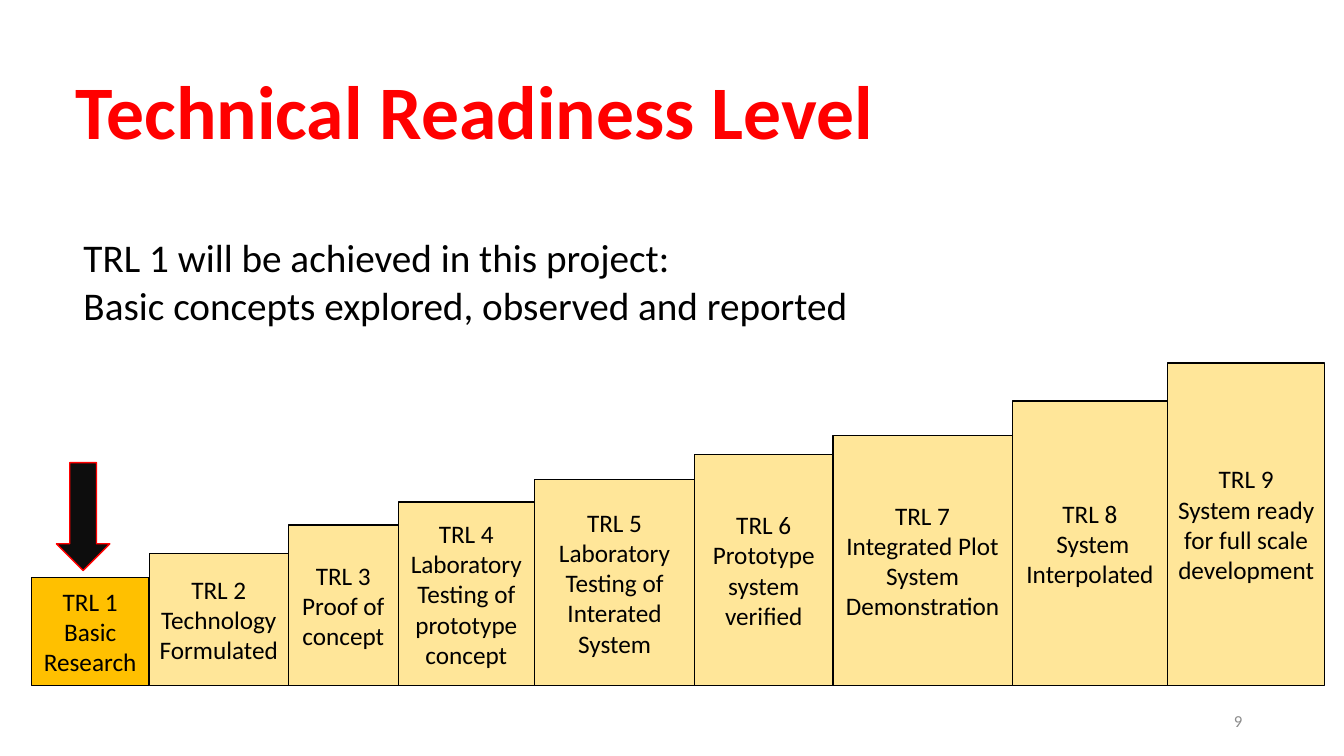
from itertools import accumulate
from dataclasses import dataclass
from pptx import Presentation
from pptx.dml.color import RGBColor
from pptx.enum.shapes import MSO_SHAPE
from pptx.enum.text import MSO_ANCHOR, MSO_AUTO_SIZE, PP_ALIGN
from pptx.util import Inches, Pt

WIDE, HIGH = 13.33, 7.5
TITLE = "Technical Readiness Level"
CLAIM = [
    "TRL 1 will be achieved in this project:",
    "Basic concepts explored, observed and reported",
]
PAGE = "9"
# Label, column width, step height
STEPS = [
    ("Basic Research", 1.17, 1.07),
    ("Technology Formulated", 1.38, 1.31),
    ("Proof of concept", 1.09, 1.59),
    ("Laboratory Testing of prototype concept", 1.35, 1.82),
    ("Laboratory Testing of Interated System", 1.59, 2.04),
    ("Prototype system verified", 1.37, 2.29),
    ("Integrated Plot System Demonstration", 1.78, 2.48),
    (" System Interpolated", 1.54, 2.82),
    ("System ready for full scale development", 1.56, 3.2),
]
REACHED = 1
LEFT, FLOOR = 0.31, 6.8
ARROW = (0.56, 4.59, 0.53, 1.07)


@dataclass(frozen=True)
class Theme:
    font: str = "Calibri"
    red: str = "FF0000"
    ink: str = "000000"
    grey: str = "8C8C8C"
    sand: str = "FFE699"
    gold: str = "FFC000"
    dark: str = "0D0D0D"
    head: int = 54
    body: int = 28
    label: int = 18
    small: int = 12
    line: int = 1


LOOK = Theme()


def put(shape, lines, size, color=LOOK.ink, bold=False, align=PP_ALIGN.LEFT,
        anchor=MSO_ANCHOR.MIDDLE, space=1.0, inset=0.1):
    """Fill a shape with one formatted paragraph per line."""
    frame = shape.text_frame
    frame.word_wrap = True
    frame.auto_size = MSO_AUTO_SIZE.NONE
    frame.vertical_anchor = anchor
    frame.margin_left = frame.margin_right = Inches(inset)
    frame.margin_top = frame.margin_bottom = Inches(0.05)
    frame.text = "\n".join(lines)
    for para in frame.paragraphs:
        para.alignment = align
        para.line_spacing = space
        font = para.runs[0].font
        font.name, font.size, font.bold = LOOK.font, Pt(size), bold
        font.color.rgb = RGBColor.from_string(color)


def draw(group, kind, box, fill, edge):
    shape = group.shapes.add_shape(kind, *map(Inches, box))
    shape.shadow.inherit = False
    shape.fill.solid()
    shape.fill.fore_color.rgb = RGBColor.from_string(fill)
    shape.line.color.rgb = RGBColor.from_string(edge)
    shape.line.width = Pt(LOOK.line)
    return shape


def stairs(slide):
    group = slide.shapes.add_group_shape()
    edges = accumulate((wide for _, wide, _ in STEPS), initial=LEFT)
    for level, (left, (name, wide, high)) in enumerate(zip(edges, STEPS), 1):
        fill = LOOK.gold if level == REACHED else LOOK.sand
        box = (left, FLOOR - high, wide, high)
        step = draw(group, MSO_SHAPE.RECTANGLE, box, fill, LOOK.ink)
        put(step, [f"TRL {level}", name], LOOK.label,
            align=PP_ALIGN.CENTER, inset=0.08)
    draw(group, MSO_SHAPE.DOWN_ARROW, ARROW, LOOK.dark, LOOK.red)


def main():
    deck = Presentation()
    deck.slide_width, deck.slide_height = Inches(WIDE), Inches(HIGH)
    slide = deck.slides.add_slide(deck.slide_layouts[5])

    title = slide.shapes.title
    title.left, title.top = Inches(0.65), Inches(0.42)
    title.width, title.height = Inches(11.5), Inches(1.45)
    put(title, [TITLE], LOOK.head, LOOK.red, bold=True, space=0.9)

    claim = slide.shapes.add_textbox(*map(Inches, (0.73, 2.27, 8.77, 1.04)))
    put(claim, CLAIM, LOOK.body, anchor=MSO_ANCHOR.TOP)

    stairs(slide)

    page = slide.shapes.add_textbox(*map(Inches, (9.42, 6.95, 3, 0.4)))
    put(page, [PAGE], LOOK.small, LOOK.grey, align=PP_ALIGN.RIGHT)

    deck.save("out.pptx")


if __name__ == "__main__":
    main()
